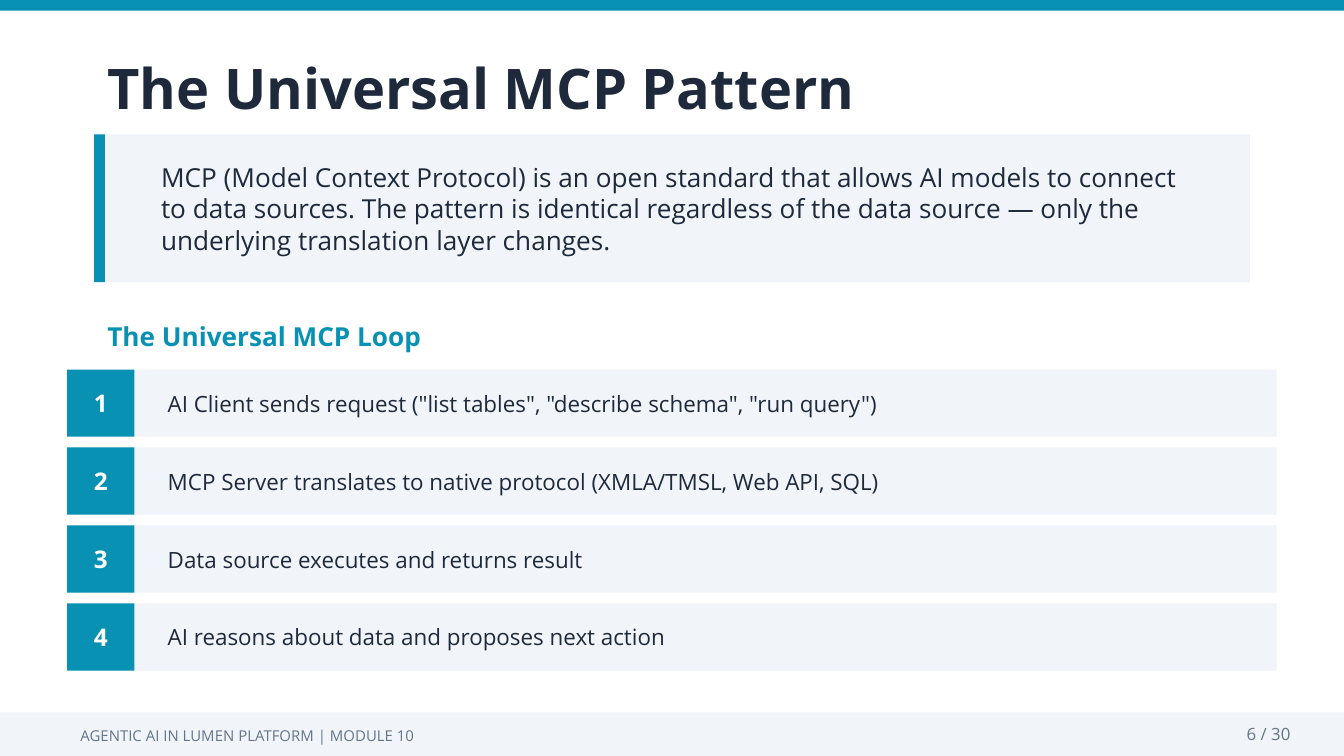
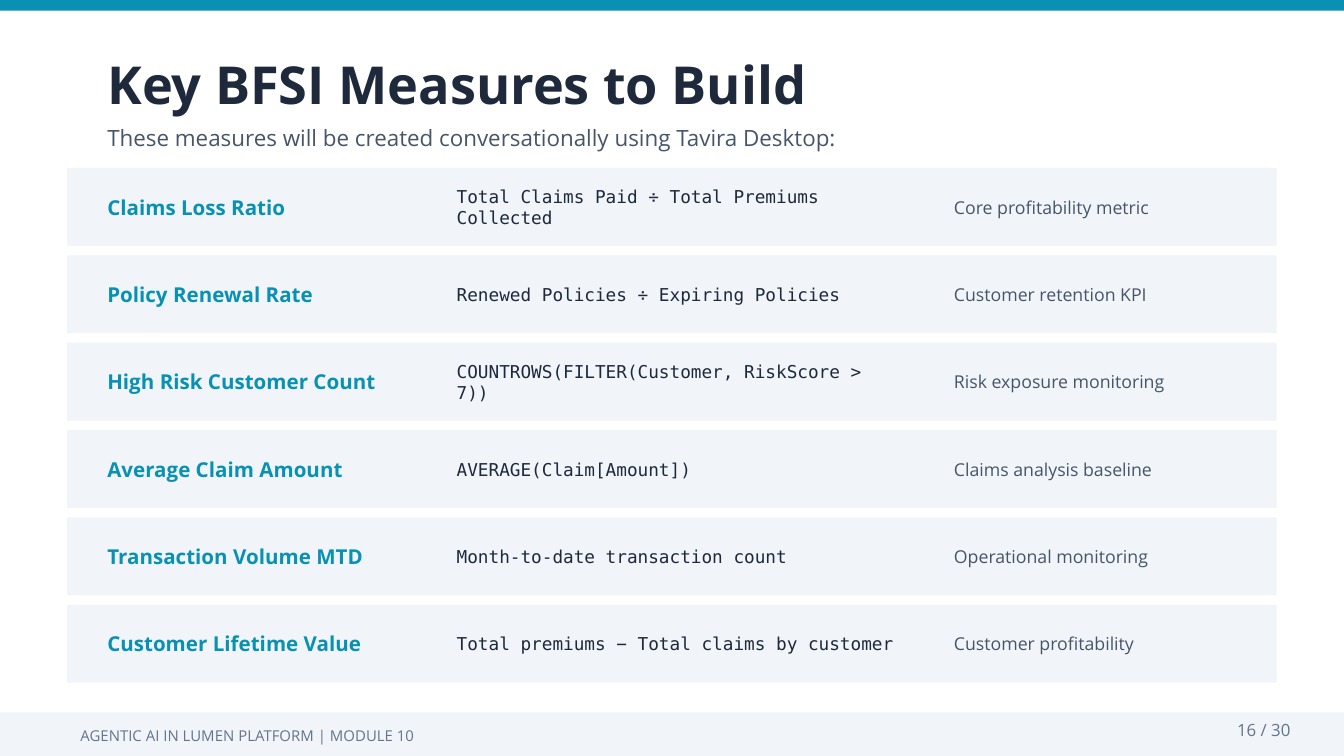
from pptx import Presentation
from pptx.dml.color import RGBColor
from pptx.enum.shapes import MSO_SHAPE
from pptx.enum.text import MSO_ANCHOR, MSO_AUTO_SIZE, PP_ALIGN
from pptx.util import Pt

RECT = MSO_SHAPE.RECTANGLE
MIDDLE = MSO_ANCHOR.MIDDLE
NO_FIT = MSO_AUTO_SIZE.NONE
LEFT, CENTER, RIGHT = PP_ALIGN.LEFT, PP_ALIGN.CENTER, PP_ALIGN.RIGHT

TEAL = RGBColor(0x08, 0x91, 0xB2)
INK = RGBColor(0x1E, 0x29, 0x3B)
SLATE = RGBColor(0x47, 0x55, 0x69)
MUTED = RGBColor(0x64, 0x74, 0x8B)
PALE = RGBColor(0xF1, 0xF5, 0xF9)
WHITE = RGBColor(0xFF, 0xFF, 0xFF)

SANS, MONO = "Open Sans", "DejaVu Sans Mono"
WIDTH, HEIGHT = 720, 405
MARGIN, INDENT, ROW_W, PAD = 36, 50.4, 648, 5.76
FOOTER_TOP = 381.6
FOOTER = "AGENTIC AI IN LUMEN PLATFORM | MODULE 10"
TOTAL = 30

STEPS = [
    'AI Client sends request ("list tables", "describe schema", "run query")',
    "MCP Server translates to native protocol (XMLA/TMSL, Web API, SQL)",
    "Data source executes and returns result",
    "AI reasons about data and proposes next action",
]
MEASURES = [
    ("Claims Loss Ratio", "Total Claims Paid ÷ Total Premiums Collected",
     "Core profitability metric"),
    ("Policy Renewal Rate", "Renewed Policies ÷ Expiring Policies",
     "Customer retention KPI"),
    ("High Risk Customer Count", "COUNTROWS(FILTER(Customer, RiskScore > 7))",
     "Risk exposure monitoring"),
    ("Average Claim Amount", "AVERAGE(Claim[Amount])",
     "Claims analysis baseline"),
    ("Transaction Volume MTD", "Month-to-date transaction count",
     "Operational monitoring"),
    ("Customer Lifetime Value", "Total premiums − Total claims by customer",
     "Customer profitability"),
]


class Deck:
    """Holds the shared style and the slide being built."""

    def __init__(self):
        self.prs = Presentation()
        self.prs.slide_width, self.prs.slide_height = Pt(WIDTH), Pt(HEIGHT)
        self.s = None

    def slide(self, title, size, title_h):
        self.s = self.prs.slides.add_slide(self.prs.slide_layouts[5])
        self.rect(0, 0, WIDTH, PAD, TEAL)
        sp = self.s.shapes.title
        box = {"left": INDENT, "top": 25.2, "width": 576, "height": title_h}
        for name, value in box.items():
            setattr(sp, name, Pt(value))
        self.put_text(sp, title, size, INK, bold=True)

    def rect(self, x, y, w, h, color):
        sp = self.s.shapes.add_shape(RECT, Pt(x), Pt(y), Pt(w), Pt(h))
        sp.shadow.inherit = False
        sp.fill.solid()
        sp.fill.fore_color.rgb = color
        sp.line.fill.background()

    def text(self, x, y, w, h, text, size, color, **style):
        sp = self.s.shapes.add_textbox(Pt(x), Pt(y), Pt(w), Pt(h))
        self.put_text(sp, text, size, color, **style)

    def put_text(self, sp, text, size, color, bold=False, font=SANS, align=LEFT):
        tf = sp.text_frame
        frame = {"word_wrap": True, "auto_size": NO_FIT,
                 "vertical_anchor": MIDDLE}
        for name, value in frame.items():
            setattr(tf, name, value)
        p = tf.paragraphs[0]
        p.alignment = align
        r = p.add_run()
        r.text = text
        for name, value in {"name": font, "size": Pt(size), "bold": bold}.items():
            setattr(r.font, name, value)
        r.font.color.rgb = color

    def callout(self, y, h, text):
        self.rect(INDENT, y, 619.2, h, PALE)
        self.rect(INDENT, y, PAD, h, TEAL)
        self.text(79.2, y + 7.2, 561.6, h - 14.4, text, 14, INK)

    def row(self, y, h, cells):
        self.rect(MARGIN, y, ROW_W, h, PALE)
        for x, w, text, size, color, style in cells:
            self.text(x, y + PAD, w, h - 2 * PAD, text, size, color, **style)

    def step(self, y, number, text):
        side = 36
        self.row(y, side, [(82.8, 590.4, text, 12, INK, {})])
        self.rect(MARGIN, y, side, side, TEAL)
        self.text(MARGIN, y + PAD, side, side - 2 * PAD, str(number), 13,
                  WHITE, bold=True, align=CENTER)

    def measure(self, y, name, formula, purpose):
        self.row(y, 41.76, [
            (INDENT, 180, name, 11, TEAL, {"bold": True}),
            (237.6, 252, formula, 9.5, INK, {"font": MONO}),
            (504, 165.6, purpose, 9.5, SLATE, {}),
        ])

    def footer(self, page, page_y):
        self.rect(0, FOOTER_TOP, WIDTH, HEIGHT - FOOTER_TOP, PALE)
        self.text(MARGIN, 383.76, 432, 20.16, FOOTER, 8, MUTED)
        self.text(626.4, page_y, 72, 21.6, f"{page} / {TOTAL}", 9, MUTED,
                  align=RIGHT)


def main():
    d = Deck()

    d.slide("The Universal MCP Pattern", 30, 43.2)
    d.callout(72, 79.2,
              "MCP (Model Context Protocol) is an open standard that allows AI "
              "models to connect to data sources. The pattern is identical "
              "regardless of the data source — only the underlying "
              "translation layer changes.")
    d.text(INDENT, 165.6, 576, 28.8, "The Universal MCP Loop", 14, TEAL,
           bold=True)
    for i, step in enumerate(STEPS):
        d.step(198 + i * 41.76, i + 1, step)
    d.footer(6, 382.32)

    d.slide("Key BFSI Measures to Build", 28, 39.6)
    d.text(INDENT, 61.2, 619.2, 25.2,
           "These measures will be created conversationally using "
           "Tavira Desktop:", 12, SLATE)
    for i, measure in enumerate(MEASURES):
        d.measure(90 + i * 46.8, *measure)
    d.footer(16, 380.16)

    d.prs.save("out.pptx")


if __name__ == "__main__":
    main()
